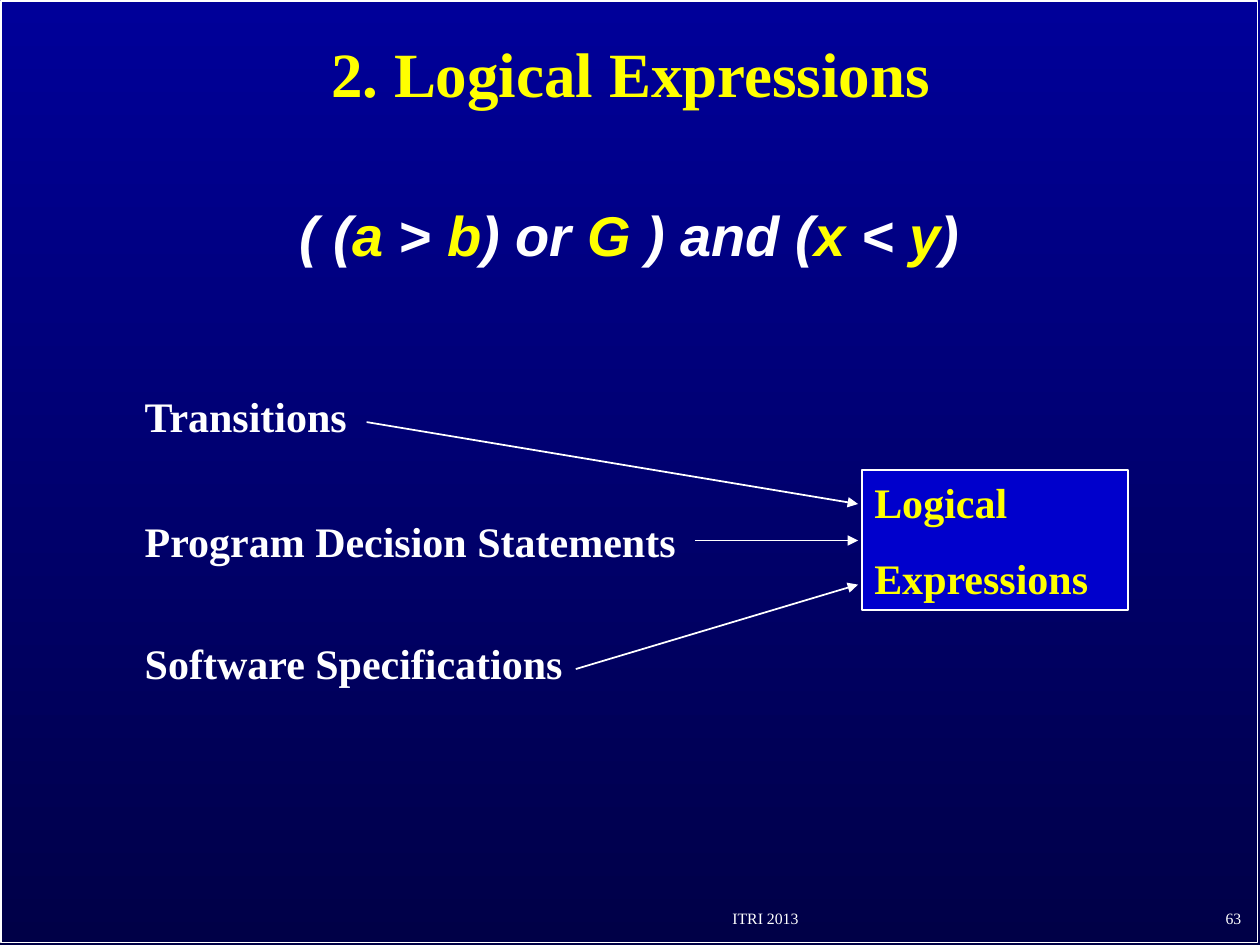
from pptx import Presentation
from pptx.dml.color import RGBColor
from pptx.enum import shapes, text
from pptx.oxml.ns import qn
from pptx.util import Inches, Pt
from lxml import etree

WHITE = RGBColor(0xFF, 0xFF, 0xFF)
YELLOW = RGBColor(0xFF, 0xFF, 0x00)
BOX_BLUE = RGBColor(0x00, 0x00, 0xCC)
TOP_BLUE = RGBColor(0x00, 0x00, 0x99)
BOTTOM_BLUE = RGBColor(0x00, 0x00, 0x47)
SERIF = "Times New Roman"


def add_run(paragraph, words, size, color, bold=True, font="Times New Roman", italic=False):
    run = paragraph.add_run()
    run.text = words
    run.font.name = font
    run.font.size = Pt(size)
    run.font.bold = bold
    run.font.italic = italic
    run.font.color.rgb = color


def add_box(left, top, width, height, wrap=True):
    box = slide.shapes.add_textbox(Inches(left), Inches(top), Inches(width), Inches(height))
    box.text_frame.word_wrap = wrap
    return box.text_frame


presentation = Presentation()
presentation.slide_width = Inches(10)
presentation.slide_height = Inches(7.5)
slide = presentation.slides.add_slide(presentation.slide_layouts[5])

# Background gradient, dark at the bottom
background = slide.background.fill
background.gradient()
background.gradient_angle = 270
for stop, color in zip(background.gradient_stops, (TOP_BLUE, BOTTOM_BLUE)):
    stop.color.rgb = color

# Slide border
border = slide.shapes.add_shape(
    shapes.MSO_SHAPE.RECTANGLE, Inches(0.01), Inches(0.01), Inches(9.97), Inches(7.47))
border.shadow.inherit = False
border.fill.background()
border.line.color.rgb = WHITE
border.line.width = Pt(1)

# Title
title = slide.shapes.title
title.left, title.top = Inches(0.1), Inches(0.11)
title.width, title.height = Inches(9.81), Inches(1)
title.text_frame.vertical_anchor = text.MSO_ANCHOR.MIDDLE
paragraph = title.text_frame.paragraphs[0]
paragraph.alignment = text.PP_ALIGN.CENTER
paragraph.line_spacing = 0.9
add_run(paragraph, "2. Logical Expressions", 36, YELLOW)

# Example expression: operators in white, variables in yellow
paragraph = add_box(1.33, 1.54, 7.33, 0.64).paragraphs[0]
paragraph.alignment = text.PP_ALIGN.CENTER
parts = ["( (", "a ", "> ", "b", ") or ", "G", " ) and (", "x", " < ", "y", ")"]
for index, part in enumerate(parts):
    add_run(paragraph, part, 32, YELLOW if index % 2 else WHITE, font="Arial", italic=True)

# Sources of logical expressions
sources = [
    ("Transitions", 3.05, 1.94),
    ("Program Decision Statements", 4.04, 4.57),
    ("Software Specifications", 5.01, 3.62),
]
for words, top, width in sources:
    add_run(add_box(1.05, top, width, 0.5).paragraphs[0], words, 24, WHITE)

# Logical expressions box
target = slide.shapes.add_shape(
    shapes.MSO_SHAPE.RECTANGLE, Inches(6.84), Inches(3.73), Inches(2.11), Inches(1.11))
target.shadow.inherit = False
target.fill.solid()
target.fill.fore_color.rgb = BOX_BLUE
target.line.color.rgb = WHITE
target.line.width = Pt(1)
frame = target.text_frame
frame.word_wrap = True
frame.vertical_anchor = text.MSO_ANCHOR.TOP
first = frame.paragraphs[0]
second = frame.add_paragraph()
second.space_before = Pt(15)
for paragraph, words in ((first, "Logical"), (second, "Expressions")):
    paragraph.alignment = text.PP_ALIGN.LEFT
    add_run(paragraph, words, 24, YELLOW)

# Arrows from each source to the box
for start_x, start_y, end_y in ((2.91, 3.35, 4), (5.52, 4.29, 4.29), (4.57, 5.31, 4.64)):
    arrow = slide.shapes.add_connector(
        shapes.MSO_CONNECTOR.STRAIGHT,
        Inches(start_x), Inches(start_y), Inches(6.81), Inches(end_y))
    arrow.line.color.rgb = WHITE
    arrow.line.width = Pt(1)
    etree.SubElement(arrow.line._get_or_add_ln(), qn("a:tailEnd"), type="triangle")
    etree.SubElement(arrow._element.spPr, qn("a:effectLst"))

# Footer and slide number
footers = [
    ("ITRI 2013", (4.49, 7.13, 3.17, 0.28), text.PP_ALIGN.CENTER),
    ("63", (7.87, 7.12, 2.08, 0.29), text.PP_ALIGN.RIGHT),
]
for words, place, alignment in footers:
    frame = add_box(*place, wrap=False)
    frame.vertical_anchor = text.MSO_ANCHOR.BOTTOM
    frame.paragraphs[0].alignment = alignment
    add_run(frame.paragraphs[0], words, 9, WHITE, bold=False)

presentation.save("out.pptx")
